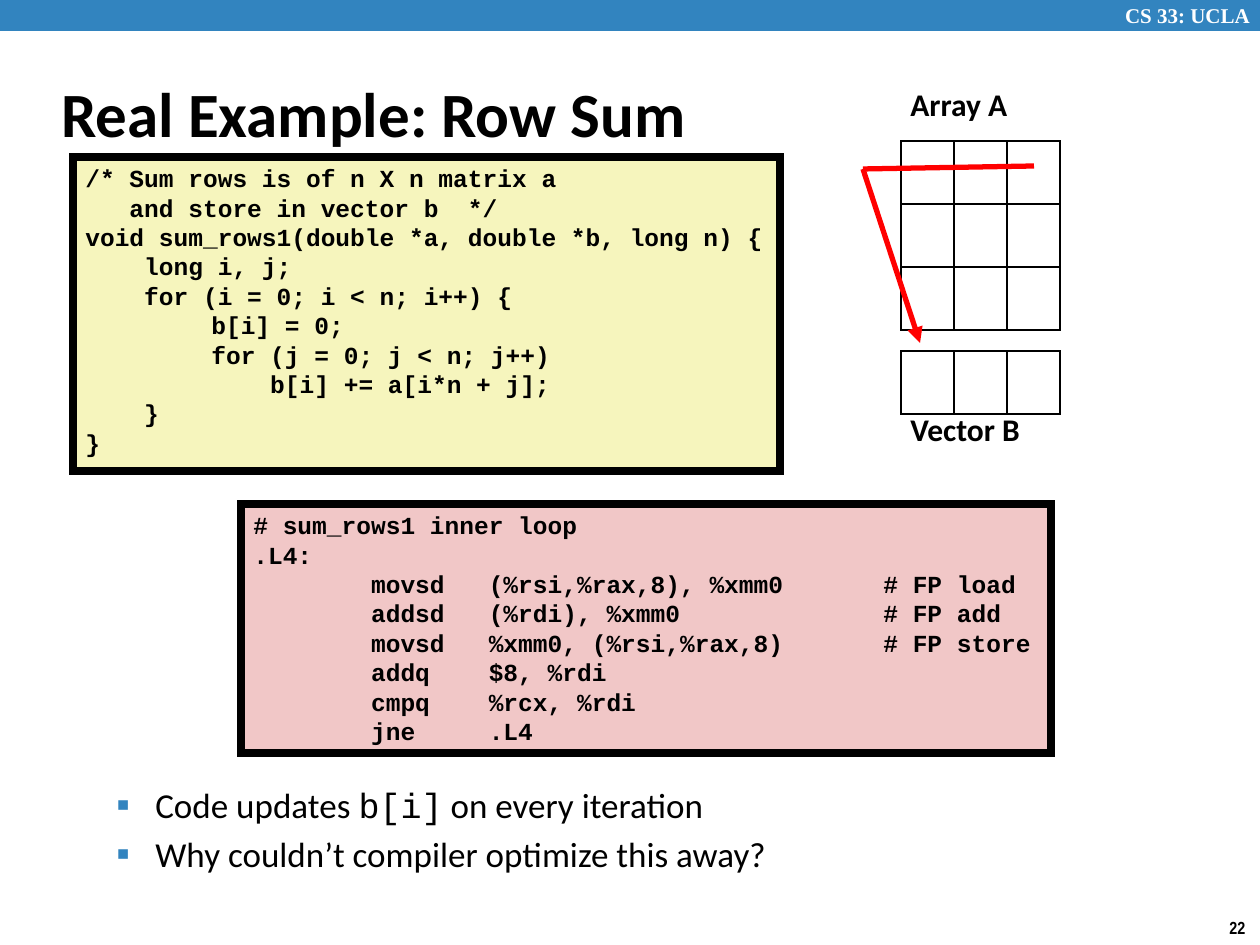
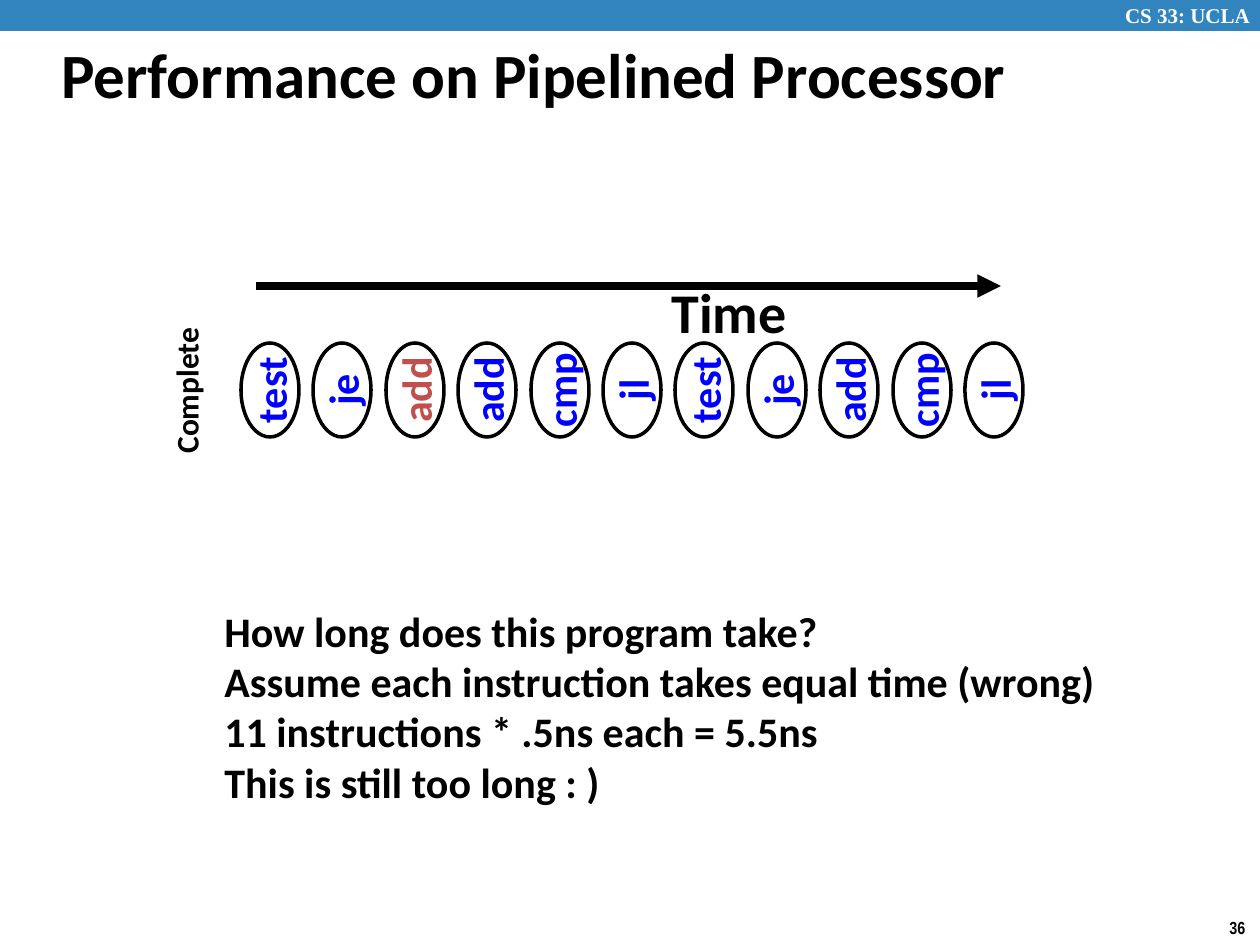
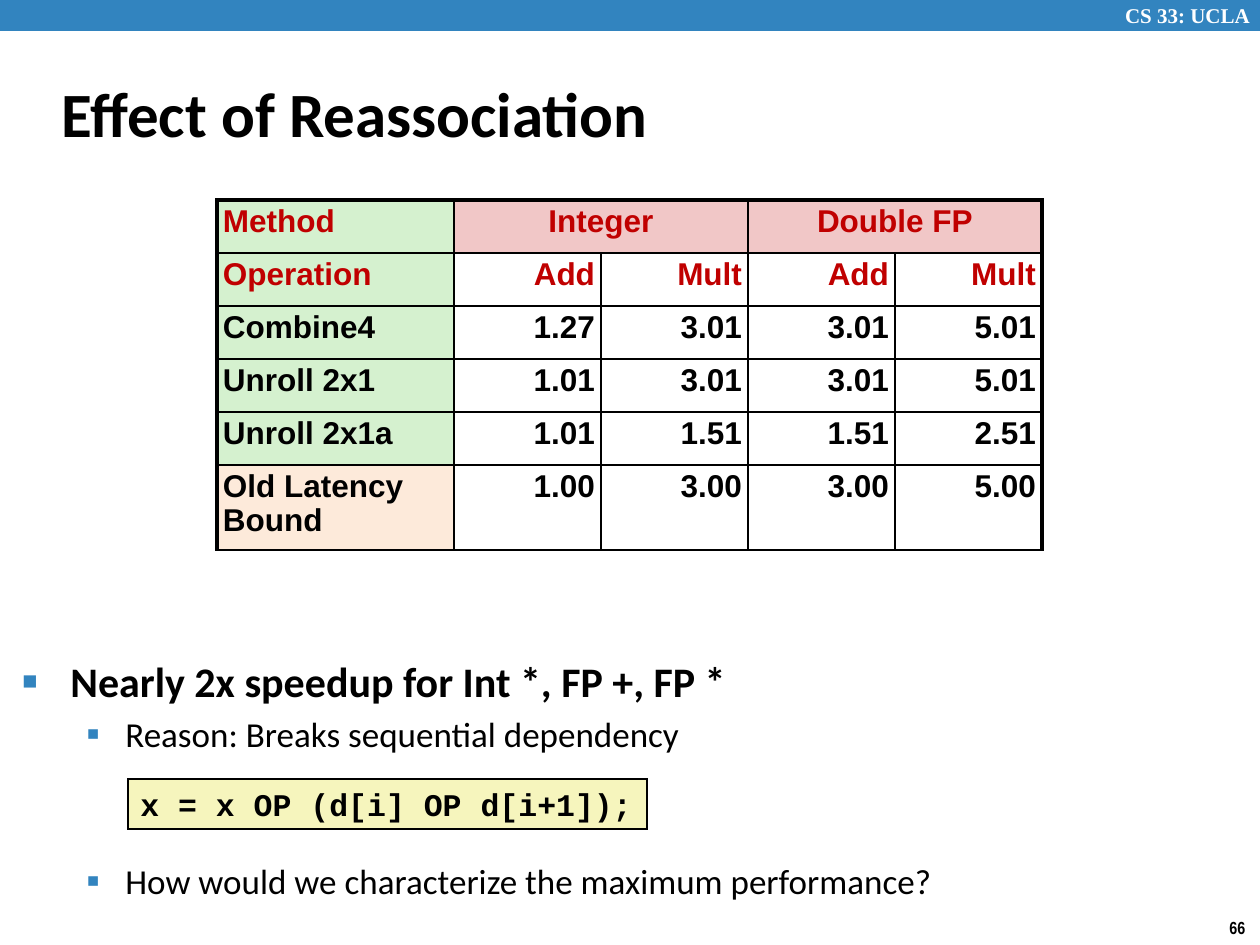
from dataclasses import dataclass, replace
from typing import NamedTuple

from lxml import etree
from pptx import Presentation
from pptx.dml.color import RGBColor
from pptx.enum.shapes import MSO_CONNECTOR, MSO_SHAPE
from pptx.enum.text import MSO_ANCHOR, PP_ALIGN
from pptx.oxml.ns import qn
from pptx.util import Emu, Pt

STRAIGHT = MSO_CONNECTOR.STRAIGHT
RECTANGLE, OVAL = MSO_SHAPE.RECTANGLE, MSO_SHAPE.OVAL
TOP, MIDDLE = MSO_ANCHOR.TOP, MSO_ANCHOR.MIDDLE
LEFT, CENTER, RIGHT = PP_ALIGN.LEFT, PP_ALIGN.CENTER, PP_ALIGN.RIGHT

PX_PER_INCH = 126
SLIDE_W, SLIDE_H = 1260, 945
CODE_LEADING = 1.2
READ_UPWARD = 270

COLORS = {
    "black": "000000",
    "white": "FFFFFF",
    "band": "3284BF",
    "c_code": "F6F5BD",
    "assembly": "F1C7C7",
    "method": "D5F1CF",
    "bound": "FDEADA",
    "heading": "C00000",
    "path": "FF0000",
    "instruction": "0000FF",
    "highlight": "C0504D",
}


class Box(NamedTuple):
    left: int
    top: int
    width: int
    height: int


@dataclass(frozen=True)
class TextStyle:
    size: int
    font: str = "Calibri"
    color: str = "black"
    bold: bool = True
    align: PP_ALIGN = LEFT


@dataclass(frozen=True)
class BulletLevel:
    margin: int
    hanging: int
    mark: str
    mark_percent: int
    style: TextStyle


@dataclass(frozen=True)
class Bullet:
    level: BulletLevel
    spans: tuple[tuple[str, str], ...]
    space_before: int = 0


@dataclass(frozen=True)
class Cell:
    text: str = ""
    fill: str = "white"
    style: TextStyle = TextStyle(18)
    columns: int = 1


TITLE = TextStyle(36)
LABEL = TextStyle(18)
NOTE = TextStyle(24)
TIME = TextStyle(32)
COURSE = TextStyle(12, "Times New Roman", "white", align=RIGHT)
PAGE = TextStyle(10, "Arial Narrow")
CODE = TextStyle(14, "Courier New")
STATEMENT = replace(CODE, size=18)
INSTRUCTION = TextStyle(24, color="instruction", align=CENTER)
FIGURE = TextStyle(18, "Arial", align=RIGHT)

MAIN_POINT = BulletLevel(48, 48, "■", 60, TextStyle(24))
SUB_POINT = BulletLevel(103, 39, "▪", 110, TextStyle(20, bold=False))

TITLE_BOX = Box(49, 60, 1046, 105)


def px(length: float) -> Emu:
    return Emu(round(length * 914400 / PX_PER_INCH))


def place(box: Box) -> list[Emu]:
    return [px(length) for length in box]


def rgb(color: str) -> RGBColor:
    return RGBColor.from_string(COLORS[color])


def style_paragraph(paragraph, style: TextStyle) -> None:
    paragraph.alignment = style.align
    font = paragraph.font
    font.name, font.size, font.bold = style.font, Pt(style.size), style.bold
    font.color.rgb = rgb(style.color)


def write(frame, lines: list[str], style: TextStyle, anchor=TOP, wrap=False) -> None:
    frame.word_wrap = wrap
    frame.vertical_anchor = anchor
    for number, line in enumerate(lines):
        paragraph = frame.add_paragraph() if number else frame.paragraphs[0]
        paragraph.add_run().text = line
        style_paragraph(paragraph, style)


def add_text(slide, box: Box, lines: list[str], style: TextStyle,
             anchor=TOP, wrap=False, rotation=0) -> None:
    label = slide.shapes.add_textbox(*place(box))
    label.rotation = rotation
    write(label.text_frame, lines, style, anchor, wrap)


def add_panel(slide, preset, box: Box, fill: str, line_width: float = 0):
    panel = slide.shapes.add_shape(preset, *place(box))
    panel.shadow.inherit = False
    panel.fill.solid()
    panel.fill.fore_color.rgb = rgb(fill)
    if line_width:
        panel.line.color.rgb = rgb("black")
        panel.line.width = Pt(line_width)
        etree.SubElement(panel.line._get_or_add_ln(), qn("a:miter"), lim="800000")
    else:
        panel.line.fill.background()
    return panel


def add_code(slide, box: Box, lines: list[str], style: TextStyle,
             fill: str, line_width: float) -> None:
    panel = add_panel(slide, RECTANGLE, box, fill, line_width)
    write(panel.text_frame, lines, style)
    for paragraph in panel.text_frame.paragraphs:
        paragraph.line_spacing = Pt(CODE_LEADING * style.size)
        if "\t" in paragraph.text:
            tabs = etree.Element(qn("a:tabLst"))
            for inch in range(1, 6):
                etree.SubElement(tabs, qn("a:tab"), pos=str(px(inch * PX_PER_INCH)), algn="l")
            properties = paragraph._p.get_or_add_pPr()
            properties.find(qn("a:defRPr")).addprevious(tabs)


def add_line(slide, start: tuple[int, int], end: tuple[int, int],
             color: str, width: float, arrow: bool = False) -> None:
    line = slide.shapes.add_connector(STRAIGHT, *(px(v) for v in start + end))
    line.line.color.rgb = rgb(color)
    line.line.width = Pt(width)
    if arrow:
        etree.SubElement(line.line._get_or_add_ln(), qn("a:tailEnd"), type="triangle")
    etree.SubElement(line._element.spPr, qn("a:effectLst"))


def add_bullets(slide, box: Box, bullets: list[Bullet]) -> None:
    frame = slide.shapes.add_textbox(*place(box)).text_frame
    frame.word_wrap = True
    for number, bullet in enumerate(bullets):
        level = bullet.level
        paragraph = frame.add_paragraph() if number else frame.paragraphs[0]
        properties = paragraph._p.get_or_add_pPr()
        properties.set("marL", str(px(level.margin)))
        properties.set("indent", str(-px(level.hanging)))
        mark_color = etree.SubElement(properties, qn("a:buClr"))
        etree.SubElement(mark_color, qn("a:srgbClr"), val=COLORS["band"])
        etree.SubElement(properties, qn("a:buSzPct"), val=str(level.mark_percent * 1000))
        etree.SubElement(properties, qn("a:buFont"), typeface="Arial")
        etree.SubElement(properties, qn("a:buChar"), char=level.mark)
        if bullet.space_before:
            paragraph.space_before = Pt(bullet.space_before)
        for text, font in bullet.spans:
            run = paragraph.add_run()
            run.text = text
            if font != level.style.font:
                run.font.name = font
        style_paragraph(paragraph, level.style)


def set_borders(cell, widths: dict[str, float]) -> None:
    properties = cell._tc.get_or_add_tcPr()
    for side in "LRTB":
        border = etree.SubElement(properties, qn(f"a:ln{side}"), w=str(Pt(widths.get(side, 1))))
        fill = etree.SubElement(border, qn("a:solidFill"))
        etree.SubElement(fill, qn("a:srgbClr"), val=COLORS["black"])


def add_grid(slide, left: int, top: int, widths: list[int], heights: list[int],
             rows: list[list[Cell]], outer: float = 1) -> None:
    box = Box(left, top, sum(widths), sum(heights))
    table = slide.shapes.add_table(len(rows), len(widths), *place(box)).table
    table.first_row = table.horz_banding = False
    for column, width in zip(table.columns, widths):
        column.width = px(width)
    for row, height in zip(table.rows, heights):
        row.height = px(height)
    for r, row in enumerate(rows):
        c = 0
        for content in row:
            cell, after = table.cell(r, c), c + content.columns
            edges = {"L": c == 0, "R": after == len(widths), "T": r == 0}
            borders = {side: outer for side, on_edge in edges.items() if on_edge}
            for covered in range(c, after):
                set_borders(table.cell(r, covered), borders)
                table.cell(r, covered).fill.solid()
                table.cell(r, covered).fill.fore_color.rgb = rgb(content.fill)
            if content.columns > 1:
                cell.merge(table.cell(r, after - 1))
            if content.text:
                cell.margin_left = cell.margin_right = px(6)
                cell.margin_top = cell.margin_bottom = px(6)
                write(cell.text_frame, [content.text], content.style, wrap=True)
                cell.text_frame.paragraphs[0].line_spacing = 0.95
            c = after


def start_slide(deck, title: str, page: int, title_box: Box = TITLE_BOX):
    slide = deck.slides.add_slide(deck.slide_layouts[6])
    band = add_panel(slide, RECTANGLE, Box(0, 0, SLIDE_W, 31), "band")
    course = band.text_frame
    course.margin_right = px(10)
    course.margin_top = course.margin_bottom = 0
    write(course, ["CS 33: UCLA"], COURSE, MIDDLE, wrap=True)
    add_text(slide, Box(1217, 911, 43, 34), [str(page)], PAGE)
    add_text(slide, title_box, [title], TITLE, MIDDLE, wrap=True)
    return slide


def build_row_sum(deck) -> None:
    slide = start_slide(deck, "Real Example: Row Sum", 22)
    add_bullets(slide, Box(40, 777, 1145, 111), [
        Bullet(SUB_POINT, (("Code updates ", "Calibri"), ("b[i]", "Courier New"),
                           (" on every iteration", "Calibri"))),
        Bullet(SUB_POINT, (("Why couldn’t compiler optimize this away?", "Calibri"),), 4),
    ])
    add_code(slide, Box(241, 504, 810, 249), [
        "# sum_rows1 inner loop",
        ".L4:",
        "        movsd   (%rsi,%rax,8), %xmm0\t# FP load",
        "        addsd   (%rdi), %xmm0\t\t# FP add",
        "        movsd   %xmm0, (%rsi,%rax,8)\t# FP store",
        "        addq    $8, %rdi",
        "        cmpq    %rcx, %rdi",
        "        jne     .L4",
    ], CODE, "assembly", 4.5)
    add_code(slide, Box(73, 157, 707, 314), [
        "/* Sum rows is of n X n matrix a",
        "   and store in vector b  */",
        "void sum_rows1(double *a, double *b, long n) {",
        "    long i, j;",
        "    for (i = 0; i < n; i++) {",
        "\tb[i] = 0;",
        "\tfor (j = 0; j < n; j++)",
        "\t    b[i] += a[i*n + j];",
        "    }",
        "}",
    ], CODE, "c_code", 4.5)

    # Array A above vector B, and the path from a row to its sum
    for top, row_count in ((141, 3), (351, 1)):
        add_grid(slide, 901, top, [53] * 3, [63] * row_count, [[Cell()] * 3] * row_count)
    add_text(slide, Box(898, 79, 123, 50), ["Array A"], LABEL)
    add_text(slide, Box(898, 404, 136, 50), ["Vector B"], LABEL)
    add_line(slide, (1034, 166), (863, 169), "path", 3)
    add_line(slide, (863, 169), (920, 343), "path", 3, arrow=True)


def build_pipeline(deck) -> None:
    slide = start_slide(deck, "Performance on Pipelined Processor", 36, Box(49, 32, 1046, 82))
    add_text(slide, Box(212, 599, 914, 217), [
        "How long does this program take?",
        "Assume each instruction takes equal time (wrong)",
        "11 instructions * .5ns each = 5.5ns",
        "This is still too long : )",
    ], NOTE, wrap=True)

    # Completed instructions, evenly spaced along the time axis
    instructions = "test je add add cmp jl test je add cmp jl".split()
    first_left, last_left, highlighted = 223, 947, 2
    pitch = (last_left - first_left) / (len(instructions) - 1)
    for number, name in enumerate(instructions):
        left = round(first_left + number * pitch)
        oval = add_panel(slide, OVAL, Box(left, 361, 94, 58), "white", 2)
        oval.rotation = READ_UPWARD
        color = "highlight" if number == highlighted else "instruction"
        write(oval.text_frame, [name], replace(INSTRUCTION, color=color), MIDDLE)
    add_line(slide, (256, 286), (1001, 286), "black", 4.5, arrow=True)
    add_text(slide, Box(659, 271, 142, 80), ["Time"], TIME)
    add_text(slide, Box(110, 365, 152, 50), ["Complete"], LABEL, rotation=READ_UPWARD)


def build_reassociation(deck) -> None:
    slide = start_slide(deck, "Effect of Reassociation", 66)
    add_bullets(slide, Box(10, 649, 1145, 239), [
        Bullet(MAIN_POINT, (("Nearly 2x speedup for Int *, FP +, FP *", "Calibri"),)),
        Bullet(SUB_POINT, (("Reason: Breaks sequential dependency", "Calibri"),), 4),
        Bullet(SUB_POINT, (("How would we characterize the maximum performance?", "Calibri"),), 60),
    ])
    add_code(slide, Box(128, 779, 519, 50), ["x = x OP (d[i] OP d[i+1]);"],
             STATEMENT, "c_code", 1)

    # Cycles per element by method and operation
    heading = replace(FIGURE, color="heading")
    left_heading = replace(heading, align=LEFT)
    group_heading = replace(heading, align=CENTER)
    groups = [Cell(name, "assembly", group_heading, 2) for name in ("Integer", "Double FP")]
    operations = [Cell(name, style=heading) for name in ("Add", "Mult") * 2]
    rows = [
        [Cell("Method", "method", left_heading), *groups],
        [Cell("Operation", "method", left_heading), *operations],
    ]
    for method, fill, figures in (
        ("Combine4", "method", ("1.27", "3.01", "3.01", "5.01")),
        ("Unroll 2x1", "method", ("1.01", "3.01", "3.01", "5.01")),
        ("Unroll 2x1a", "method", ("1.01", "1.51", "1.51", "2.51")),
        ("Old Latency Bound", "bound", ("1.00", "3.00", "3.00", "5.00")),
    ):
        rows.append([Cell(method, fill, replace(FIGURE, align=LEFT)),
                     *(Cell(figure, style=FIGURE) for figure in figures)])
    add_grid(slide, 217, 200, [237] + [147] * 4, [53] * 5 + [85], rows, outer=2.25)


def main() -> None:
    deck = Presentation()
    deck.slide_width, deck.slide_height = px(SLIDE_W), px(SLIDE_H)
    build_row_sum(deck)
    build_pipeline(deck)
    build_reassociation(deck)
    deck.save("out.pptx")


if __name__ == "__main__":
    main()
